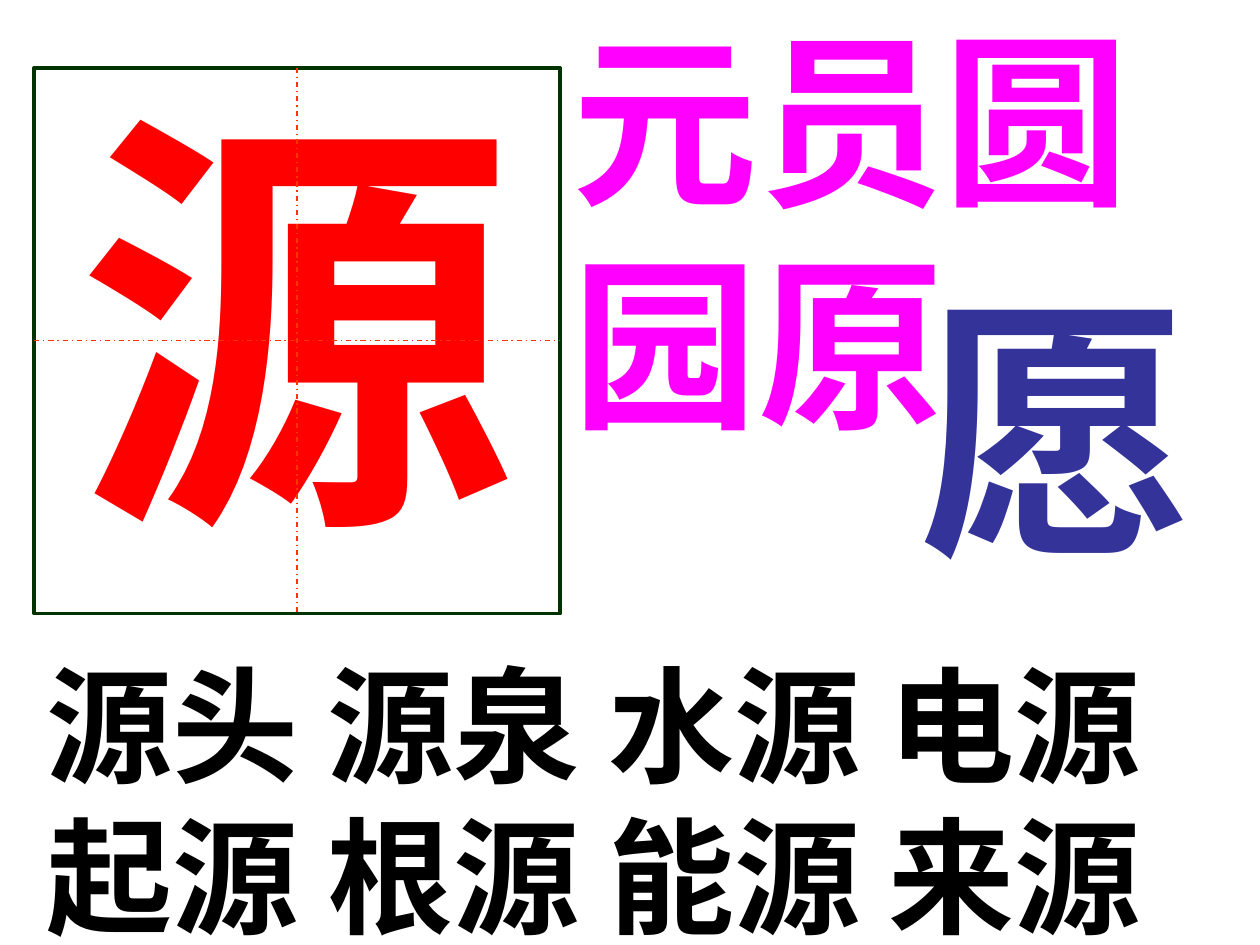
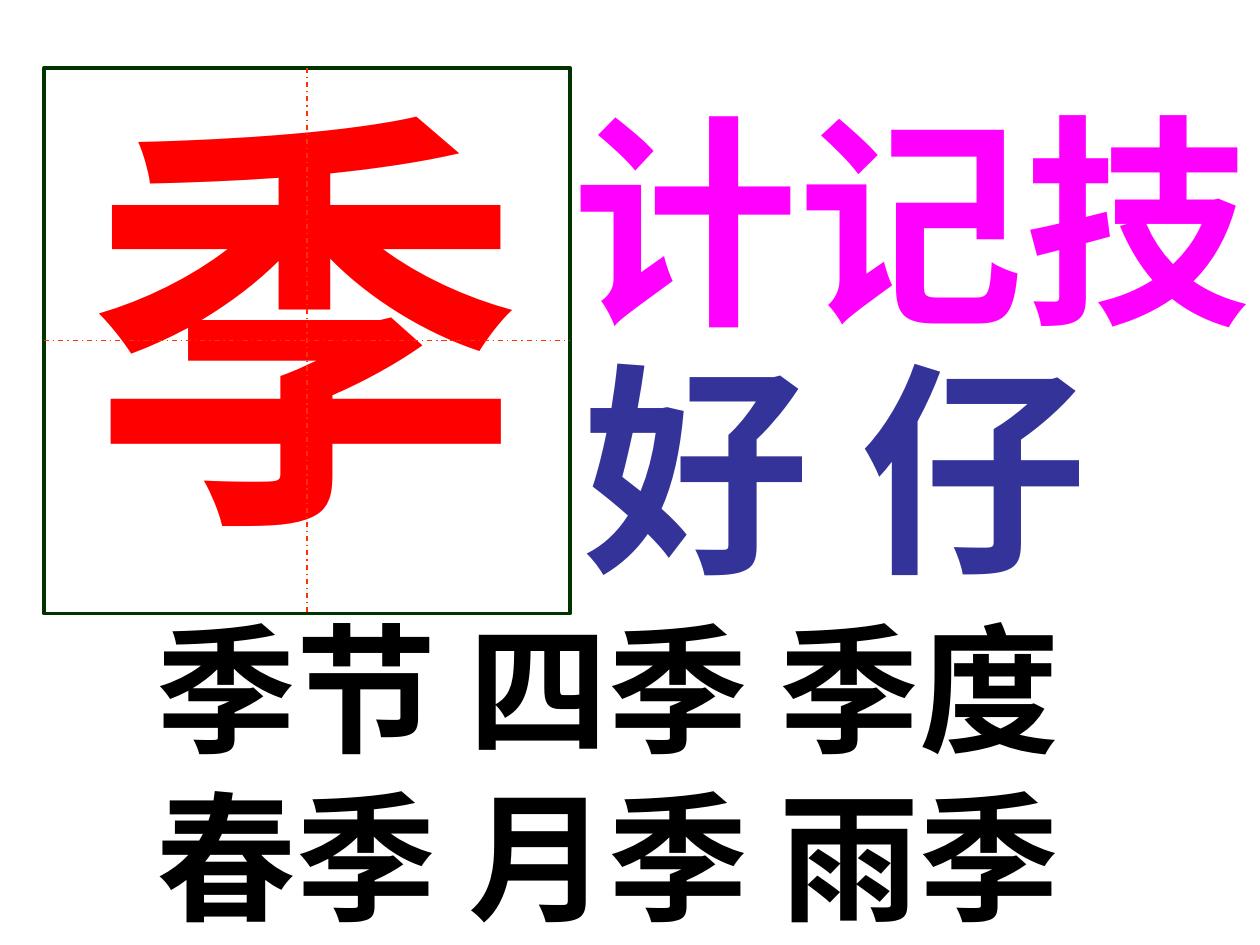
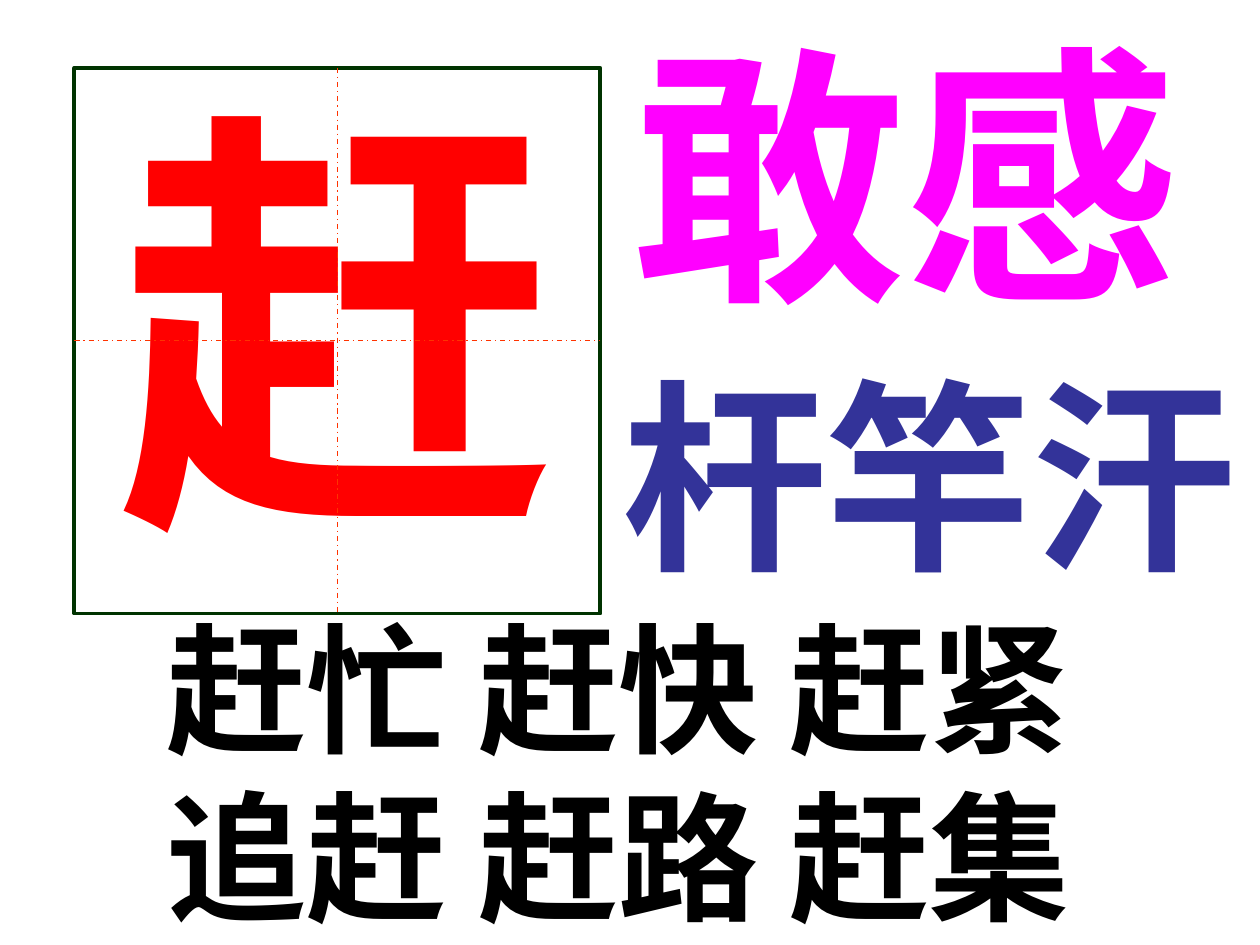
from pptx import Presentation
from pptx import util as u
from pptx.dml import color
from pptx.enum import dml, lang, shapes, text
from pptx.oxml import ns
from lxml import etree

CJK = "Noto Sans CJK SC"
LATIN = "Arial"
RED, GREEN, ORANGE = "FF0000", "003300", "FF3300"
PINK, BLUE, BLACK = "FF00FF", "333399", "000000"
GRID_TOP, GRID_W, GRID_H = 1.37, 10.6, 11
CHAR_INDENT = 0.61

LESSONS = [
    dict(char="源", grid_left=0.69,
         words=["源头 源泉 水源 电源", "起源 根源 能源 来源"],
         words_at=(0.69, 12.93, 30, 6.35), words_size=72,
         related=[("元员圆园原", (11.3, 0, 13.1, 9.25), 106, PINK),
                  ("愿", (18.29, 5.13, 13.1, 6.86), 156, BLUE)]),
    dict(char="季", grid_left=0.89,
         words=["季节 四季 季度", "春季 月季 雨季"],
         words_at=(2.9, 12.01, 24.1, 7.04), words_size=80,
         related=[("计记技", (11.3, 1.52, 14.4, 5.72), 129, PINK),
                  ("好 仔", (11.51, 6.53, 15.01, 5.72), 129, BLUE)]),
    dict(char="赶", grid_left=1.5,
         words=["赶忙 赶快 赶紧", "追赶 赶路 赶集"],
         words_at=(3.1, 12.01, 22.81, 7.04), words_size=80,
         related=[("敢感", (12.5, 0, 14.61, 6.86), 156, PINK),
                  ("杆竿汗", (12.29, 6.93, 14.81, 5.21), 117, BLUE)]),
]


def rgb(value):
    return color.RGBColor.from_string(value)


def cm(values):
    return [u.Cm(v) for v in values]


def write(sp, lines, size, fill, font=CJK):
    tf = sp.text_frame
    tf.word_wrap = True
    tf.auto_size = text.MSO_AUTO_SIZE.NONE
    tf.vertical_anchor = text.MSO_ANCHOR.TOP
    for i, line in enumerate(lines):
        p = tf.paragraphs[0] if i == 0 else tf.add_paragraph()
        p.alignment = text.PP_ALIGN.LEFT
        p.space_before = u.Pt(0)
        pPr = p._p.get_or_add_pPr()
        pPr.set("marL", "0")
        pPr.set("indent", "0")
        etree.SubElement(pPr, ns.qn("a:buNone"))
        r = p.add_run()
        r.text = line
        r.font.size = u.Pt(size)
        r.font.bold = True
        r.font.name = font
        r.font.language_id = lang.MSO_LANGUAGE_ID.SIMPLIFIED_CHINESE
        r.font.color.rgb = rgb(fill)
        ea = etree.SubElement(r._r.get_or_add_rPr(), ns.qn("a:ea"))
        ea.set("typeface", CJK)


def fill_placeholder(sp, at, lines, size, fill):
    sp.left, sp.top, sp.width, sp.height = cm(at)
    write(sp, lines, size, fill)


def add_text(s, line, at, size, fill):
    write(s.shapes.add_textbox(*cm(at)), [line], size, fill, font=LATIN)


def add_guide(group, frame, start, end, sites):
    line = group.shapes.add_connector(
        shapes.MSO_CONNECTOR.STRAIGHT, *cm(start + end))
    line.begin_connect(frame, sites[0])
    line.end_connect(frame, sites[1])
    line.line.color.rgb = rgb(ORANGE)
    line.line.width = u.Pt(0.75)
    line.line.dash_style = dml.MSO_LINE.DASH_DOT
    etree.SubElement(line._element.spPr, ns.qn("a:effectLst"))


def add_writing_grid(s, left):
    group = s.shapes.add_group_shape()
    frame = group.shapes.add_shape(
        shapes.MSO_SHAPE.RECTANGLE, *cm((left, GRID_TOP, GRID_W, GRID_H)))
    frame.shadow.inherit = False
    frame.fill.background()
    frame.line.color.rgb = rgb(GREEN)
    frame.line.width = u.Pt(2.25)
    mid_x, mid_y = left + GRID_W / 2, GRID_TOP + GRID_H / 2
    add_guide(group, frame, (left, mid_y), (left + GRID_W, mid_y), (1, 3))
    add_guide(group, frame, (mid_x, GRID_TOP), (mid_x, GRID_TOP + GRID_H), (0, 2))


def add_lesson(prs, char, grid_left, words, words_at, words_size, related):
    s = prs.slides.add_slide(prs.slide_layouts[1])
    char_at = (grid_left + CHAR_INDENT, 0.91, 16, 10.85)
    fill_placeholder(s.shapes.title, char_at, [char], 250, RED)
    fill_placeholder(s.placeholders[1], words_at, words, words_size, BLACK)
    add_writing_grid(s, grid_left)
    for item in related:
        add_text(s, *item)


def main():
    prs = Presentation()
    prs.slide_width, prs.slide_height = u.Cm(25.4), u.Cm(19.05)
    for lesson in LESSONS:
        add_lesson(prs, **lesson)
    prs.save("out.pptx")


if __name__ == "__main__":
    main()
